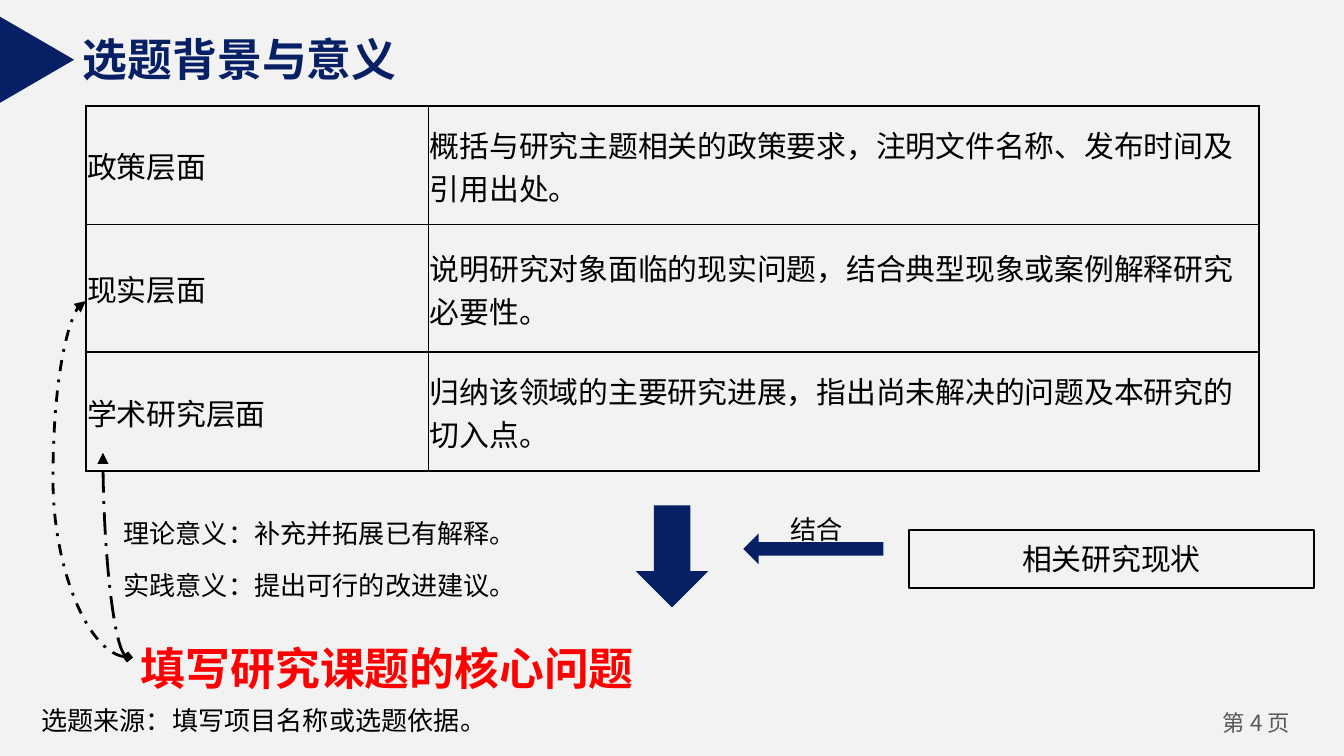
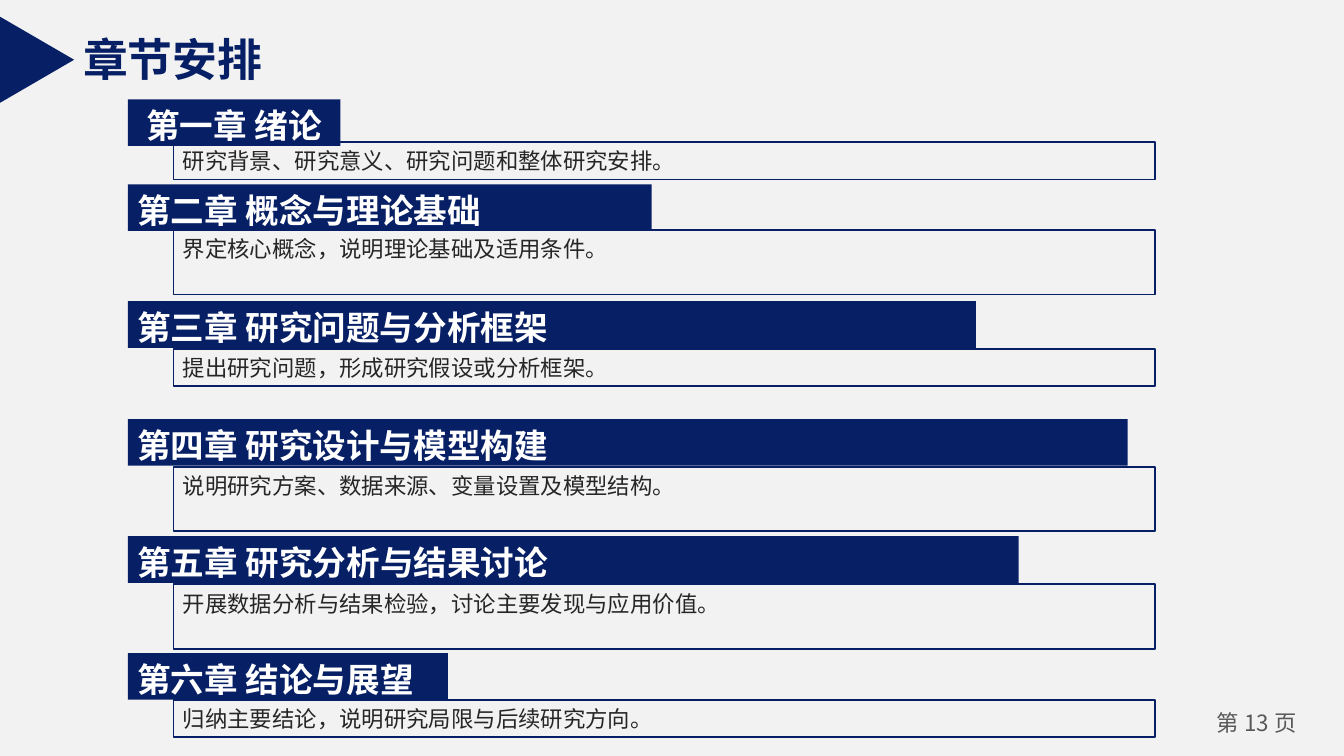
from dataclasses import dataclass

from lxml.etree import SubElement
from pptx import Presentation
from pptx.dml.color import RGBColor
from pptx.enum.dml import MSO_LINE
from pptx.enum.shapes import MSO_CONNECTOR, MSO_SHAPE
from pptx.enum.text import MSO_ANCHOR, MSO_AUTO_SIZE, PP_ALIGN
from pptx.oxml.ns import qn
from pptx.util import Pt


@dataclass(frozen=True)
class Theme:
    background: str = "F2F2F2"
    navy: str = "071F65"
    black: str = "000000"
    red: str = "FF0000"
    white: str = "FFFFFF"
    detail: str = "262626"
    page: str = "595959"
    sans: str = "Noto Sans CJK SC"
    latin: str = "Arial"
    serif: str = "Times New Roman"
    title_size: float = 24
    chapter_size: float = 18
    body_size: float = 16
    note_size: float = 14
    small_size: float = 12


THEME = Theme()
TIGHT_INSETS = (5, 2.9)

LEVELS = [
    ("政策层面", "概括与研究主题相关的政策要求，注明文件名称、发布时间及引用出处。"),
    ("现实层面", "说明研究对象面临的现实问题，结合典型现象或案例解释研究必要性。"),
    ("学术研究层面", "归纳该领域的主要研究进展，指出尚未解决的问题及本研究的切入点。"),
]

# Chapter title, bar top, bar width, summary, summary top, summary height
CHAPTERS = [
    ("第一章 绪论", 53.2, 113.8, "研究背景、研究意义、研究问题和整体研究安排。", 76.2, 20),
    ("第二章 概念与理论基础", 98.8, 280.6, "界定核心概念，说明理论基础及适用条件。", 123.2, 34.6),
    ("第三章 研究问题与分析框架", 161.4, 454.4, "提出研究问题，形成研究假设或分析框架。", 187, 20),
    ("第四章 研究设计与模型构建", 224.5, 535.7, "说明研究方案、数据来源、变量设置及模型结构。", 250, 34.6),
    ("第五章 研究分析与结果讨论", 287.3, 477.2, "开展数据分析与结果检验，讨论主要发现与应用价值。", 313, 34.6),
    ("第六章 结论与展望", 349.9, 171.4, "归纳主要结论，说明研究局限与后续研究方向。", 375, 20),
]


def color(value):
    return RGBColor.from_string(value)


def points(*values):
    return [Pt(value) for value in values]


def write(frame, text, size, font, fill, bold=False, align=PP_ALIGN.LEFT, spacing=None):
    paragraph = frame.paragraphs[0]
    paragraph.text = text
    paragraph.alignment = align
    if spacing:
        paragraph.line_spacing = spacing
    paragraph.font.size = Pt(size)
    paragraph.font.name = font
    paragraph.font.bold = bold
    paragraph.font.color.rgb = color(fill)


def set_frame(frame, insets=(7.2, 3.6), wrap=True, grow=False, anchor=MSO_ANCHOR.TOP):
    frame.margin_left = frame.margin_right = Pt(insets[0])
    frame.margin_top = frame.margin_bottom = Pt(insets[1])
    frame.word_wrap = wrap
    frame.auto_size = MSO_AUTO_SIZE.SHAPE_TO_FIT_TEXT if grow else MSO_AUTO_SIZE.NONE
    frame.vertical_anchor = anchor


def add_text(slide, box, text, size, font, fill, wrap=True, grow=True,
             insets=(7.2, 3.6), **style):
    frame = slide.shapes.add_textbox(*points(*box)).text_frame
    set_frame(frame, insets, wrap, grow)
    write(frame, text, size, font, fill, **style)


def add_block(slide, kind, box, fill=None, line=None, rotation=0):
    shape = slide.shapes.add_shape(kind, *points(*box))
    shape.shadow.inherit = False
    shape.rotation = rotation
    if fill:
        shape.fill.solid()
        shape.fill.fore_color.rgb = color(fill)
    else:
        shape.fill.background()
    if line:
        shape.line.color.rgb = color(line)
        shape.line.width = Pt(1)
    else:
        shape.line.fill.background()
    return shape


def add_curve(slide, start, end, dash, preset, bend=None, head=None):
    """Draw a dashed curve whose triangle points at end; bend is the adjustment."""
    curve = slide.shapes.add_connector(MSO_CONNECTOR.CURVE, *points(*start, *end))
    curve.line.color.rgb = color(THEME.black)
    curve.line.width = Pt(1.5)
    curve.line.dash_style = dash
    properties = curve._element.spPr
    geometry = properties.find(qn("a:prstGeom"))
    geometry.set("prst", preset)
    if bend:
        guide = SubElement(geometry.find(qn("a:avLst")), qn("a:gd"))
        guide.set("name", "adj1")
        guide.set("fmla", f"val {bend}")
    line = properties.find(qn("a:ln"))
    if head:
        SubElement(line, qn("a:headEnd")).set("type", head)
    SubElement(line, qn("a:tailEnd")).set("type", "triangle")
    SubElement(properties, qn("a:effectLst"))


def add_borders(cell):
    properties = cell._tc.get_or_add_tcPr()
    for index, side in enumerate(("lnL", "lnR", "lnT", "lnB")):
        border = properties.makeelement(qn(f"a:{side}"), {"w": str(Pt(1))})
        fill = SubElement(border, qn("a:solidFill"))
        SubElement(fill, qn("a:srgbClr")).set("val", THEME.black)
        properties.insert(index, border)


def add_levels_table(slide):
    widths, heights = (183.6, 445), (63.6, 68.4, 63.6)
    table = slide.shapes.add_table(
        len(heights), len(widths), *points(46, 56.7, sum(widths), sum(heights))).table
    table.first_row = table.horz_banding = False
    for column, width in zip(table.columns, widths):
        column.width = Pt(width)
    for row, height, texts in zip(table.rows, heights, LEVELS):
        row.height = Pt(height)
        for cell, text in zip(row.cells, texts):
            cell.margin_left = cell.margin_right = cell.margin_top = Pt(0.7)
            cell.margin_bottom = 0
            cell.vertical_anchor = MSO_ANCHOR.MIDDLE
            cell.fill.background()
            add_borders(cell)
            write(cell.text_frame, text, THEME.body_size, THEME.serif, THEME.black)


def add_base_slide(presentation, title, title_width, title_font, page):
    slide = presentation.slides.add_slide(presentation.slide_layouts[6])
    slide.background.fill.solid()
    slide.background.fill.fore_color.rgb = color(THEME.background)
    add_text(slide, (640.8, 377.3, 64.8, 21.6), f"第 {page} 页", THEME.small_size,
             THEME.sans, THEME.page, grow=False, insets=TIGHT_INSETS,
             align=PP_ALIGN.CENTER)
    add_text(slide, (37.4, 13.7, title_width, 36), title, THEME.title_size,
             title_font, THEME.navy, wrap=False, bold=True)
    add_block(slide, MSO_SHAPE.ISOSCELES_TRIANGLE, (-3.1, 12.2, 46, 39.6),
              THEME.navy, rotation=90)
    return slide


def build_background_slide(presentation):
    slide = add_base_slide(presentation, "选题背景与意义", 185, THEME.sans, 4)
    add_text(slide, (15, 369.4, 592.6, 28.8), "选题来源：填写项目名称或选题依据。",
             THEME.note_size, THEME.serif, THEME.black, spacing=Pt(21.1))
    add_block(slide, MSO_SHAPE.RIGHT_ARROW, (332.7, 278.6, 54.7, 38.9),
              THEME.navy, rotation=90)
    add_text(slide, (68.4, 331.2, 596.2, 41), "填写研究课题的核心问题", THEME.title_size,
             THEME.latin, THEME.red, wrap=False, bold=True, spacing=1.3)
    add_levels_table(slide)

    status = add_block(slide, MSO_SHAPE.RECTANGLE, (487, 284, 217, 31), line=THEME.black)
    set_frame(status.text_frame, anchor=MSO_ANCHOR.MIDDLE)
    write(status.text_frame, "相关研究现状", THEME.body_size, THEME.serif, THEME.black,
          align=PP_ALIGN.CENTER)
    combine_arrow = add_block(slide, MSO_SHAPE.RIGHT_ARROW, (398.2, 285.8, 75, 16.5),
                              THEME.navy, rotation=180)
    combine_arrow.adjustments[0] = 0.43
    add_text(slide, (416.2, 266.4, 42.5, 27.4), "结合", THEME.note_size, THEME.latin,
             THEME.black, wrap=False, spacing=1.3)

    question = (68.4, 352)
    add_curve(slide, question, (46, 161.3), MSO_LINE.DASH_DOT, "curvedConnector3",
              bend=178600, head="diamond")
    add_curve(slide, question, (55.2, 242.6), MSO_LINE.LONG_DASH_DOT, "curvedConnector2")

    meanings = ("理论意义：补充并拓展已有解释。", "实践意义：提出可行的改进建议。")
    for index, meaning in enumerate(meanings):
        add_text(slide, (59, 268.6 + 28 * index, 273.6, 23), meaning, THEME.note_size,
                 THEME.latin, THEME.black, spacing=1.3)


def add_chapter(slide, title, bar_top, bar_width, summary, summary_top, summary_height,
                title_align):
    box = add_block(slide, MSO_SHAPE.RECTANGLE, (93, summary_top, 525.6, summary_height),
                    THEME.background, THEME.navy)
    set_frame(box.text_frame, TIGHT_INSETS, grow=True)
    write(box.text_frame, summary, THEME.small_size, THEME.sans, THEME.detail,
          align=PP_ALIGN.JUSTIFY)
    bar = add_block(slide, MSO_SHAPE.RECTANGLE, (68.5, bar_top, bar_width, 25), THEME.navy)
    set_frame(bar.text_frame, TIGHT_INSETS)
    write(bar.text_frame, title, THEME.chapter_size, THEME.sans, THEME.white, bold=True,
          align=title_align)


def build_chapters_slide(presentation):
    slide = add_base_slide(presentation, "章节安排", 111.6, THEME.latin, 13)
    for index, chapter in enumerate(CHAPTERS):
        add_chapter(slide, *chapter, PP_ALIGN.LEFT if index else PP_ALIGN.CENTER)


def main():
    presentation = Presentation()
    presentation.slide_width, presentation.slide_height = points(720, 405)
    build_background_slide(presentation)
    build_chapters_slide(presentation)
    presentation.save("out.pptx")


if __name__ == "__main__":
    main()
